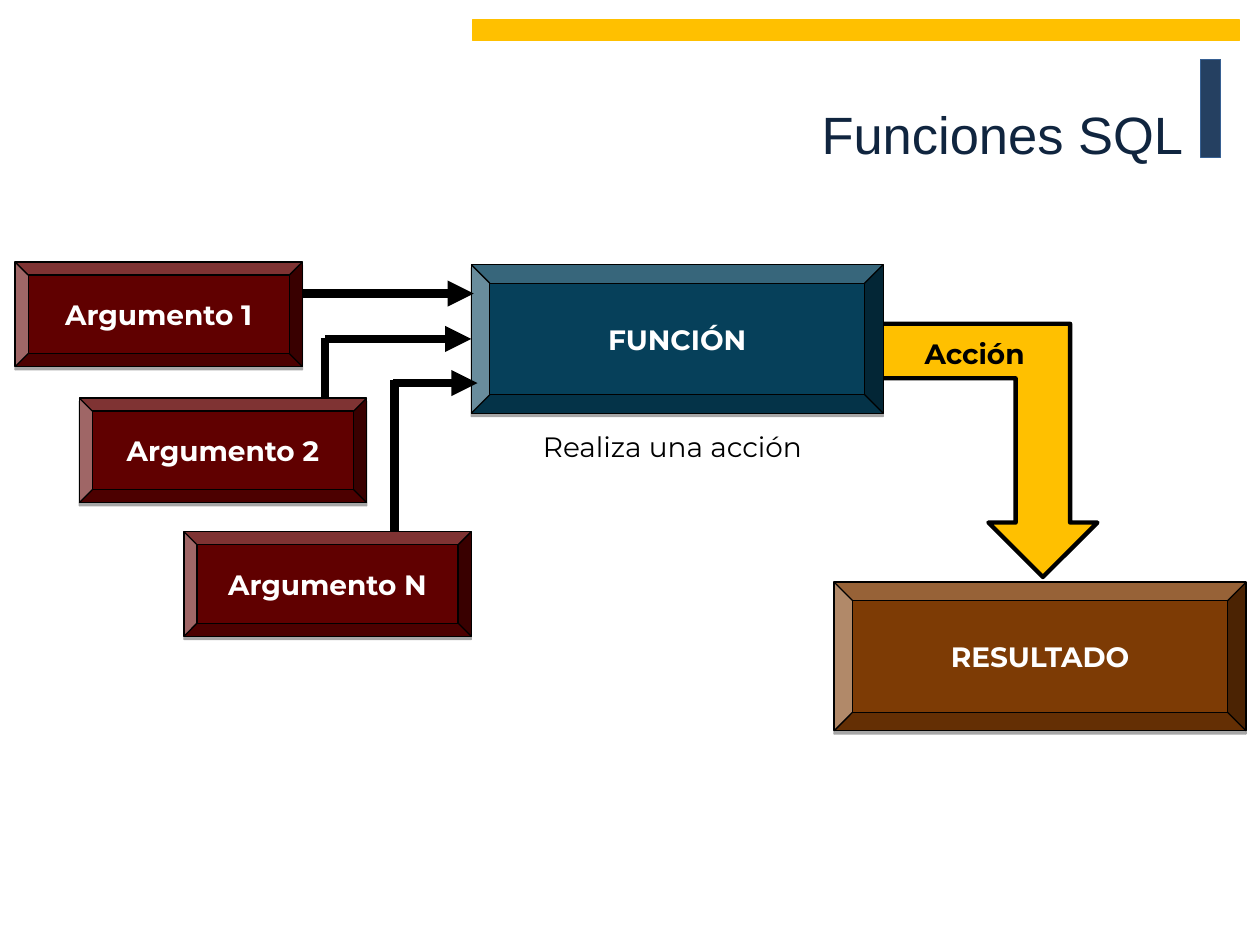
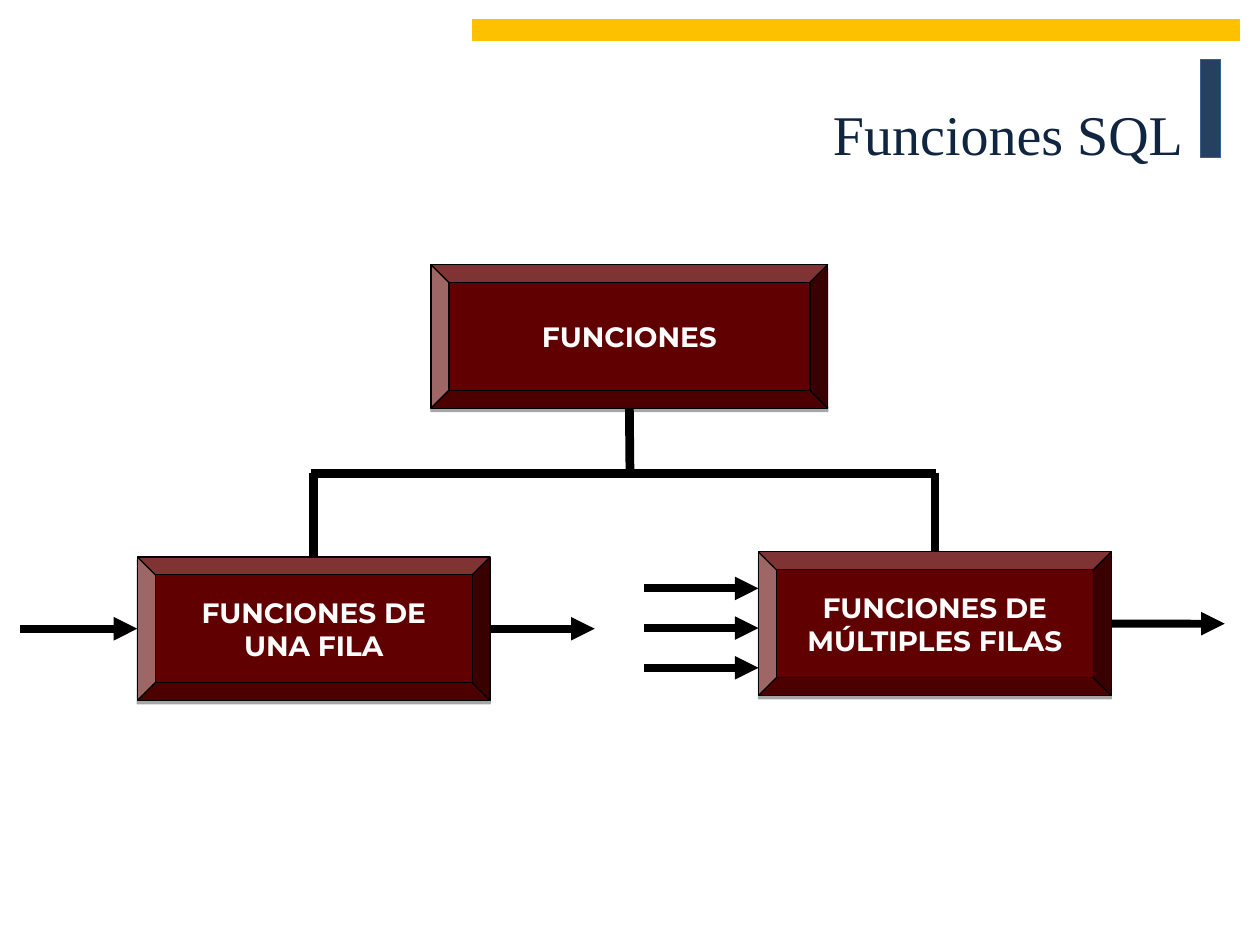
from lxml import etree
from pptx import Presentation
from pptx.dml.color import RGBColor
from pptx.enum.shapes import MSO_CONNECTOR, MSO_SHAPE
from pptx.enum.text import MSO_ANCHOR, PP_ALIGN
from pptx.oxml.ns import qn
from pptx.util import Inches, Pt

BEVEL, RECTANGLE, BENT_ARROW = MSO_SHAPE.BEVEL, MSO_SHAPE.RECTANGLE, MSO_SHAPE.BENT_UP_ARROW
STRAIGHT = MSO_CONNECTOR.STRAIGHT
LEFT, CENTER, RIGHT = PP_ALIGN.LEFT, PP_ALIGN.CENTER, PP_ALIGN.RIGHT
TOP, MIDDLE = MSO_ANCHOR.TOP, MSO_ANCHOR.MIDDLE
SIDE_TOP, SIDE_LEFT, SIDE_BOTTOM, SIDE_RIGHT = range(4)

BLACK, WHITE, GOLD = "000000", "FFFFFF", "FFC000"
NAVY, NAVY_EDGE, TITLE_INK = "254061", "376092", "10253F"
MAROON, TEAL, BROWN = "600000", "06405A", "7D3B05"
BODY_FONT = "Montserrat"
BODY_SIZE = 16


def rgb(value):
    """Turn a hex string into a colour."""
    return RGBColor.from_string(value)


def write(box, lines, size=BODY_SIZE, font=BODY_FONT, color=BLACK, bold=False,
          align=LEFT, anchor=TOP, wrap=True):
    """Fill a shape with one paragraph per line."""
    frame = box.text_frame
    frame.word_wrap = wrap
    frame.vertical_anchor = anchor
    for index, line in enumerate(lines):
        para = frame.add_paragraph() if index else frame.paragraphs[0]
        para.alignment = align
        span = para.add_run()
        span.text = line
        span.font.size = Pt(size)
        span.font.name = font
        span.font.bold = bold
        span.font.color.rgb = rgb(color)


def add_label(page, place, text, **style):
    """Add a text box with a single line."""
    box = page.shapes.add_textbox(*map(Inches, place))
    write(box, [text], **style)


def add_figure(page, kind, place, fill, edge, weight=0.75):
    """Add a filled and outlined preset shape without a shadow."""
    shape = page.shapes.add_shape(kind, *map(Inches, place))
    shape.shadow.inherit = False
    shape.fill.solid()
    shape.fill.fore_color.rgb = rgb(fill)
    shape.line.color.rgb = rgb(edge)
    shape.line.width = Pt(weight)
    return shape


def add_bevel(page, place, fill, *lines):
    """Add a bevelled block with a thin shadow and bold white text."""
    block = add_figure(page, BEVEL, place, fill, BLACK)
    effects = block.element.spPr.find(qn("a:effectLst"))
    shadow = etree.SubElement(effects, qn("a:outerShdw"), blurRad="0",
                              dist=str(Pt(1.8)), dir="5400000", rotWithShape="0")
    ink = etree.SubElement(shadow, qn("a:srgbClr"), val=BLACK)
    etree.SubElement(ink, qn("a:alpha"), val="35000")
    write(block, lines, color=WHITE, bold=True, align=CENTER, anchor=MIDDLE)
    return block


def add_line(page, start, end, weight=5, arrow=False, begin=None, finish=None):
    """Add a straight black line, joined to (shape, side) pairs where given."""
    line = page.shapes.add_connector(STRAIGHT, *map(Inches, (*start, *end)))
    line.line.color.rgb = rgb(BLACK)
    line.line.width = Pt(weight)
    if arrow:
        etree.SubElement(line.line._get_or_add_ln(), qn("a:tailEnd"), type="triangle")
    etree.SubElement(line.element.spPr, qn("a:effectLst"))
    if begin:
        line.begin_connect(*begin)
    if finish:
        line.end_connect(*finish)


def add_page(deck, title_font, title_size):
    """Add a slide with the shared bands and title."""
    page = deck.slides.add_slide(deck.slide_layouts[6])
    add_figure(page, RECTANGLE, (9.53, 0.47, 0.16, 0.78), NAVY, NAVY_EDGE)
    add_figure(page, RECTANGLE, (3.75, 0.16, 6.09, 0.16), GOLD, GOLD)
    add_label(page, (0.97, 0.26, 8.52, 1.6), "Funciones SQL", size=title_size,
              font=title_font, color=TITLE_INK, align=RIGHT, anchor=MIDDLE)
    return page


def build_flow(deck):
    """Show arguments entering a function that gives a result."""
    page = add_page(deck, "Arial", 30)
    action = add_figure(page, BENT_ARROW, (6.98, 2.57, 1.73, 2.01), GOLD, BLACK, 2.5)
    action.element.spPr.xfrm.set("flipV", "1")
    add_bevel(page, (6.62, 4.62, 3.27, 1.18), BROWN, "RESULTADO")
    function = add_bevel(page, (3.74, 2.1, 3.27, 1.18), TEAL, "FUNCIÓN")
    add_label(page, (4.21, 3.36, 2.51, 0.37), "Realiza una acción", wrap=False)

    add_line(page, (2.3, 2.33), (3.76, 2.33), arrow=True)
    add_line(page, (2.58, 2.69), (3.74, 2.69), arrow=True, finish=(function, SIDE_LEFT))
    add_line(page, (3.12, 3.04), (3.79, 3.04), arrow=True)
    add_line(page, (2.58, 2.68), (2.58, 3.31))
    add_line(page, (3.13, 3.02), (3.13, 4.28))

    for name, left, top in (("1", 0.12, 2.08), ("2", 0.63, 3.16), ("N", 1.46, 4.22)):
        add_bevel(page, (left, top, 2.28, 0.83), MAROON, f"Argumento {name}")
    add_label(page, (7.24, 2.62, 1.05, 0.37), "Acción", bold=True, wrap=False)


def build_tree(deck):
    """Show the two families of functions."""
    page = add_page(deck, "Times New Roman", 32)
    root = add_bevel(page, (3.42, 2.1, 3.15, 1.14), MAROON, "FUNCIONES")
    single = add_bevel(page, (1.09, 4.42, 2.8, 1.14), MAROON, "FUNCIONES DE", "UNA FILA")
    multiple = add_bevel(page, (6.02, 4.38, 2.8, 1.14), MAROON,
                         "FUNCIONES DE", "MÚLTIPLES FILAS")

    add_line(page, (2.47, 3.76), (7.43, 3.76))
    add_line(page, (5, 3.24), (5, 3.78), begin=(root, SIDE_BOTTOM))
    add_line(page, (2.49, 3.75), (2.49, 4.42), finish=(single, SIDE_TOP))
    add_line(page, (7.42, 3.75), (7.42, 4.38), finish=(multiple, SIDE_TOP))

    add_line(page, (0.16, 4.99), (1.09, 4.99), 4.5, True, finish=(single, SIDE_LEFT))
    add_line(page, (3.89, 4.99), (4.72, 4.99), 4.5, True, begin=(single, SIDE_RIGHT))
    for row in range(3):
        top = 4.67 + 0.315 * row
        add_line(page, (5.11, top), (6.02, top), 4.5, True)
    add_line(page, (8.82, 4.95), (9.72, 4.95), 4.5, True, begin=(multiple, SIDE_RIGHT))


def main():
    """Build and save the deck."""
    deck = Presentation()
    deck.slide_width, deck.slide_height = Inches(10), Inches(7.5)
    build_flow(deck)
    build_tree(deck)
    deck.save("out.pptx")


if __name__ == "__main__":
    main()
